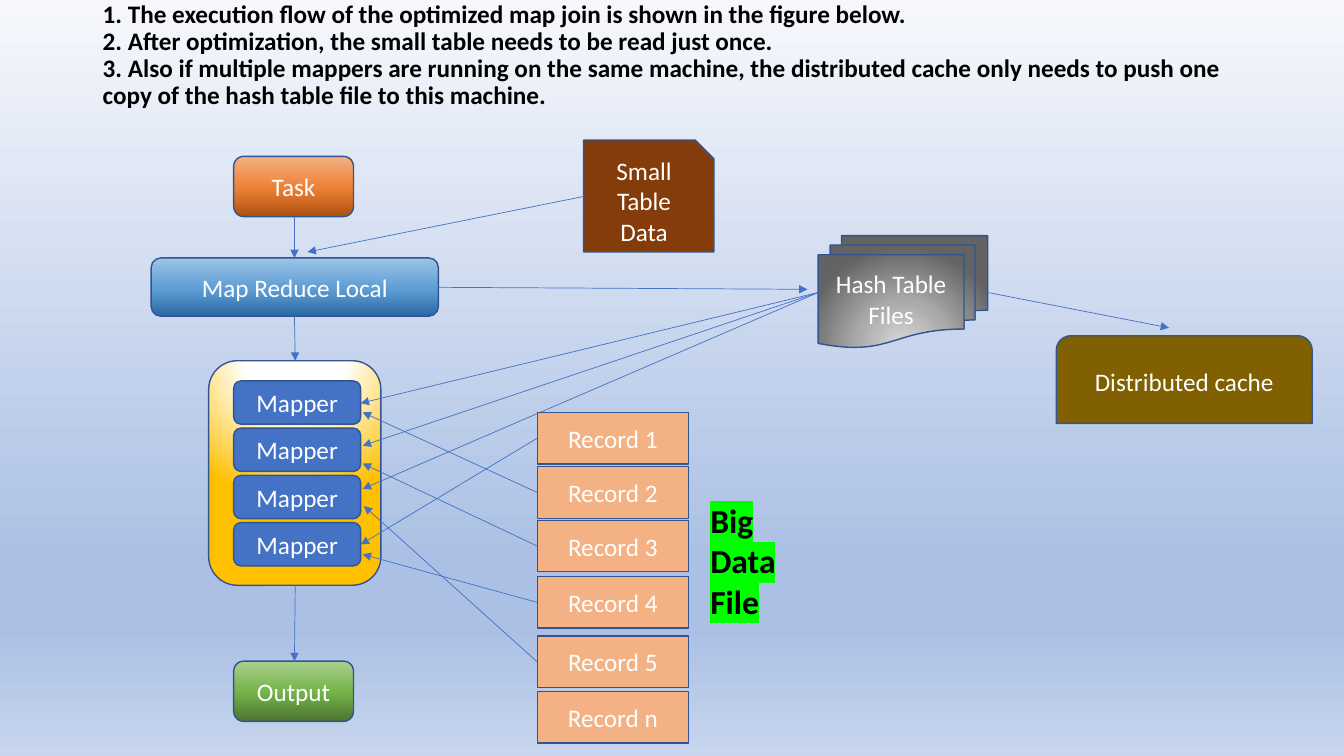
"""Build the slide on the execution flow of an optimized map join."""
from lxml import etree
from pptx import Presentation
from pptx.dml.color import RGBColor
from pptx.enum.shapes import MSO_CONNECTOR, MSO_SHAPE
from pptx.enum.text import MSO_ANCHOR, MSO_AUTO_SIZE, PP_ALIGN
from pptx.oxml.ns import qn
from pptx.util import Cm, Pt

ROUND = MSO_SHAPE.ROUNDED_RECTANGLE
SNIP = MSO_SHAPE.SNIP_1_RECTANGLE
DOCS = MSO_SHAPE.FLOWCHART_MULTIDOCUMENT
ARCH = MSO_SHAPE.ROUND_2_SAME_RECTANGLE
RECT = MSO_SHAPE.RECTANGLE
STRAIGHT = MSO_CONNECTOR.STRAIGHT
MIDDLE, TOP = MSO_ANCHOR.MIDDLE, MSO_ANCHOR.TOP
CENTER, LEFT = PP_ALIGN.CENTER, PP_ALIGN.LEFT
GROW = MSO_AUTO_SIZE.SHAPE_TO_FIT_TEXT

BLACK = RGBColor(0x00, 0x00, 0x00)
WHITE = RGBColor(0xFF, 0xFF, 0xFF)
NAVY = RGBColor(0x32, 0x54, 0x91)
BLUE = RGBColor(0x44, 0x72, 0xC4)
BROWN = RGBColor(0x84, 0x3C, 0x0B)
OLIVE = RGBColor(0x80, 0x60, 0x00)
PEACH = RGBColor(0xF4, 0xB1, 0x83)
LIME = RGBColor(0x00, 0xFF, 0x00)
FONT = "Calibri"

SKY = {"stops": [(0, "F6F8FC"), (74, "ABC0E4"), (83, "ABC0E4"), (100, "C7D5ED")], "angle": 90}
RUST = {"stops": [(0, "B0500F"), (48, "EE8137"), (100, "F4B183")], "angle": 270}
AZURE = {"stops": [(0, "2A69A2"), (48, "609ED6"), (100, "9DC3E6")], "angle": 270}
GREEN = {"stops": [(0, "4B7430"), (48, "74B349"), (100, "A9D18E")], "angle": 270}
GOLD = {"stops": [(0, "FFFFFF"), (35, "FFFFFF"), (100, "FFC000")], "focus": (50, -80, 50, 180)}
GREY = {"stops": [(0, "DBDBDB"), (46, "AAAAAA"), (100, "636363")], "focus": (50, 130, 50, -30)}

TITLE = "\v".join([
    "1. The execution flow of the optimized map join is shown in the figure below.",
    "2. After optimization, the small table needs to be read just once.",
    "3. Also if multiple mappers are running on the same machine, the distributed cache "
    "only needs to push one copy of the hash table file to this machine.",
])
NODES = [
    ("Task", ROUND, (5.89, 3.94, 3.02, 1.52), RUST),
    ("Map Reduce Local", ROUND, (3.81, 6.5, 7.24, 1.47), AZURE),
    ("Small Table Data", SNIP, (14.71, 3.53, 3.28, 2.82), BROWN),
    ("", ROUND, (5.26, 9.09, 4.34, 5.66), GOLD),
    ("Hash Table Files", DOCS, (20.62, 5.94, 4.27, 2.82), GREY),
    ("Distributed cache", ARCH, (26.62, 8.46, 6.45, 2.21), OLIVE),
    ("Output", ROUND, (5.89, 16.66, 3.02, 1.52), GREEN),
]
MAPPERS = 4
RECORDS = [
    ("Record 1", 10.39, (9.09, 13.72)),
    ("Record 2", 11.76, (9.14, 10.39)),
    ("Record 3", 13.11, (9.14, 11.68)),
    ("Record 4", 14.53, (9.14, 13.97)),
    ("Record 5", 16.03, (9.17, 12.75)),
    ("Record n", 17.42, None),
]
FLOWS = [
    ((7.42, 5.46), (7.42, 6.5)),
    ((14.71, 4.95), (7.75, 6.35)),
    ((7.42, 7.97), (7.44, 9.09)),
    ((11.05, 7.24), (20.35, 7.29)),
    ((24.89, 7.37), (29.46, 8.26)),
    ((7.44, 14.75), (7.42, 16.66)),
]
HASH = (20.62, 7.37)
LOADS = [(9.09, 10.16), (9.14, 11.23), (9.14, 12.32)]


def blend(fill, owner, stops, angle=0, focus=None):
    fill.solid()
    old = owner.find(qn("a:solidFill"))
    grad = etree.Element(qn("a:gradFill"), rotWithShape="1")
    row = etree.SubElement(grad, qn("a:gsLst"))
    for pos, color in stops:
        stop = etree.SubElement(row, qn("a:gs"), pos=str(pos * 1000))
        etree.SubElement(stop, qn("a:srgbClr"), val=color)
    if focus:
        way = etree.SubElement(grad, qn("a:path"), {"path": "circle"})
        sides = {side: str(part * 1000) for side, part in zip("ltrb", focus)}
        etree.SubElement(way, qn("a:fillToRect"), sides)
    else:
        etree.SubElement(grad, qn("a:lin"), ang=str(angle * 60000), scaled="0")
    owner.replace(old, grad)


def write(shape, text, size, color, bold, align, anchor):
    frame = shape.text_frame
    frame.word_wrap = True
    frame.vertical_anchor = anchor
    para = frame.paragraphs[0]
    para.text = text
    para.alignment = align
    for run in para.runs:
        run.font.size = Pt(size)
        run.font.bold = bold
        run.font.color.rgb = color
        run.font.name = FONT
    return para


def node(slide, text, kind, box, paint):
    shape = slide.shapes.add_shape(kind, *map(Cm, box))
    shape.shadow.inherit = False
    if isinstance(paint, dict):
        blend(shape.fill, shape.element.spPr, **paint)
    else:
        shape.fill.solid()
        shape.fill.fore_color.rgb = paint
    shape.line.color.rgb = NAVY
    shape.line.width = Pt(1)
    if text:
        write(shape, text, 18, WHITE, False, CENTER, MIDDLE)


def arrow(slide, start, end):
    link = slide.shapes.add_connector(STRAIGHT, *map(Cm, start + end))
    link.line.color.rgb = BLUE
    link.line.width = Pt(0.5)
    etree.SubElement(link.line._get_or_add_ln(), qn("a:tailEnd"), type="triangle")
    etree.SubElement(link.element.spPr, qn("a:effectLst"))


def main():
    deck = Presentation()
    deck.slide_width, deck.slide_height = Cm(33.87), Cm(19.05)
    slide = deck.slides.add_slide(deck.slide_layouts[6])
    back = slide.background.fill
    back.solid()
    blend(back, slide.element.find(".//" + qn("p:bgPr")), **SKY)

    title = slide.shapes.add_textbox(*map(Cm, (2.34, 0, 29.21, 2.82)))
    write(title, TITLE, 18, BLACK, True, LEFT, MIDDLE).line_spacing = 0.9

    for item in NODES:
        node(slide, *item)
    for row in range(MAPPERS):
        node(slide, "Mapper", ROUND, (5.89, 9.6 + 1.19 * row, 3.2, 1.09), BLUE)
    for start, end in FLOWS:
        arrow(slide, start, end)
    for end in LOADS:
        arrow(slide, HASH, end)
    for text, top, end in RECORDS:
        node(slide, text, RECT, (13.54, top, 3.81, 1.3), PEACH)
        if end:
            arrow(slide, (13.54, top + 0.65), end)

    label = slide.shapes.add_textbox(*map(Cm, (17.65, 12.47, 2.36, 3.33)))
    para = write(label, "Big Data File", 24, BLACK, True, LEFT, TOP)
    label.text_frame.auto_size = GROW
    mark = etree.Element(qn("a:highlight"))
    etree.SubElement(mark, qn("a:srgbClr"), val=str(LIME))
    para.runs[0].font.color
    para.runs[0]._r.find(qn("a:rPr")).insert(1, mark)

    deck.save("out.pptx")


if __name__ == "__main__":
    main()
